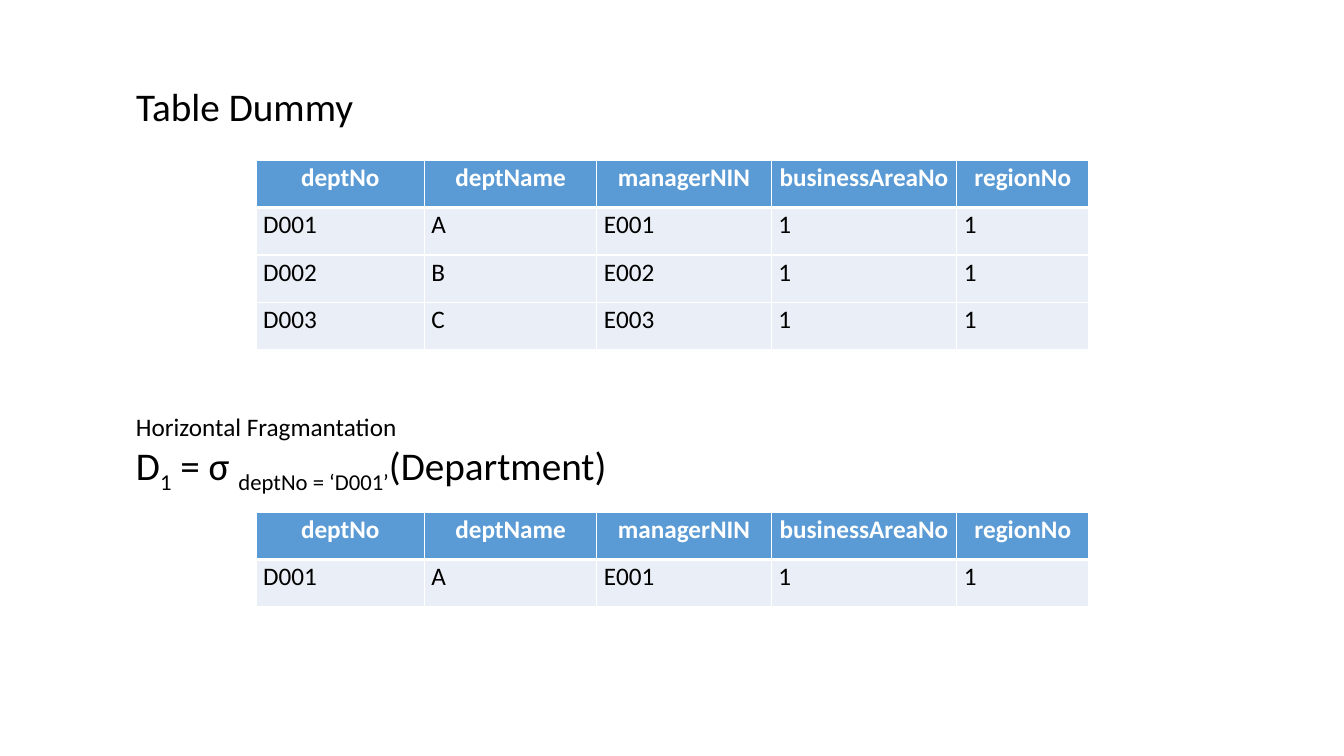
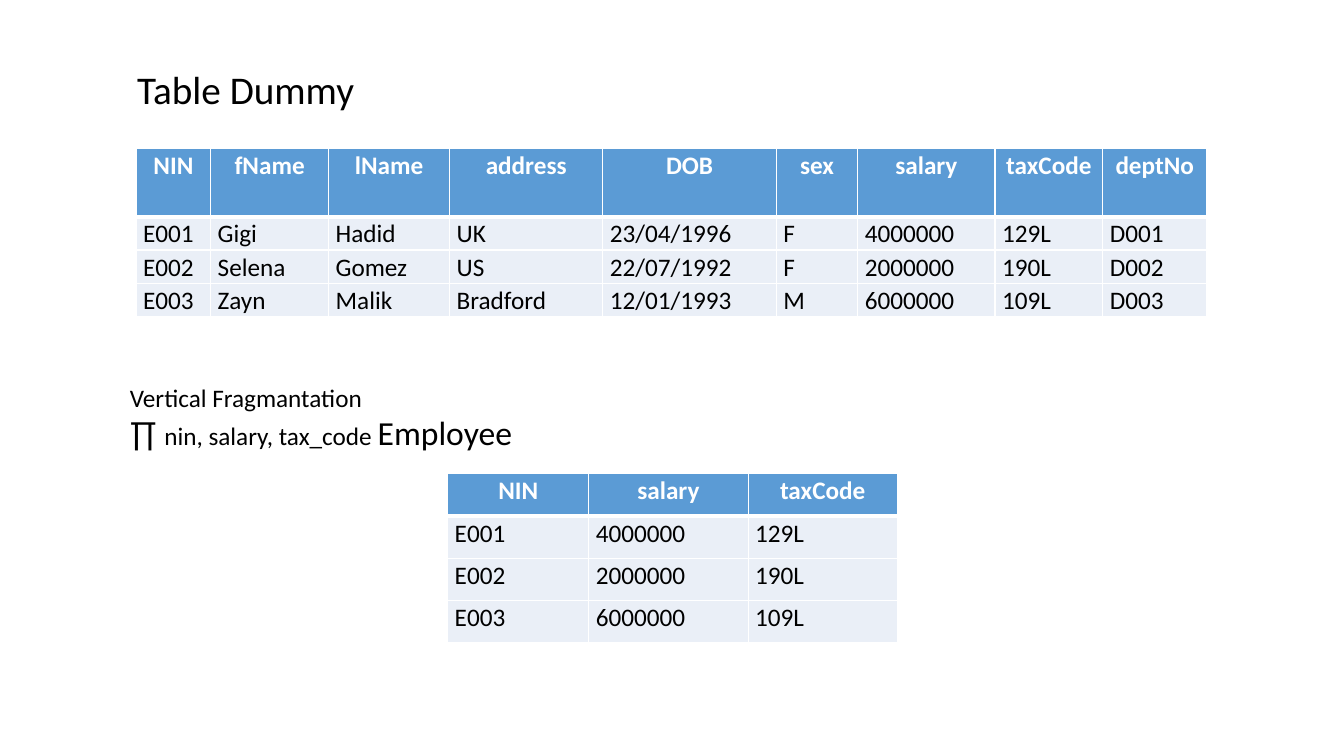
from dataclasses import dataclass

from lxml.etree import SubElement
from pptx import Presentation
from pptx.dml.color import RGBColor
from pptx.enum.text import MSO_ANCHOR, MSO_AUTO_SIZE, PP_ALIGN
from pptx.oxml.ns import qn
from pptx.util import Inches, Pt

FONT = "Calibri"
BLACK = RGBColor(0x00, 0x00, 0x00)
WHITE = RGBColor(0xFF, 0xFF, 0xFF)
HEADER_BLUE = RGBColor(0x5B, 0x9B, 0xD5)
ROW_BLUE = RGBColor(0xEA, 0xEF, 0xF7)
TITLE_ONLY = 5


@dataclass(frozen=True)
class Phrase:
    text: str
    size: int
    subscript: bool = False


@dataclass(frozen=True)
class Relation:
    left: float
    top: float
    widths: list[float]
    header_height: float
    row_height: float
    rows: list[list[str]]


@dataclass(frozen=True)
class Fragmentation:
    title_left: float
    title_top: float
    source: Relation
    note_left: float
    note_top: float
    note_width: float
    note: list[list[Phrase]]
    fragment: Relation


DEPARTMENTS = [
    ["deptNo", "deptName", "managerNIN", "businessAreaNo", "regionNo"],
    ["D001", "A", "E001", "1", "1"],
    ["D002", "B", "E002", "1", "1"],
    ["D003", "C", "E003", "1", "1"],
]
DEPARTMENT_WIDTHS = [1.67, 1.71, 1.73, 1.84, 1.31]

EMPLOYEES = [
    ["NIN", "fName", "lName", "address", "DOB", "sex", "salary", "taxCode", "deptNo"],
    ["E001", "Gigi", "Hadid", "UK", "23/04/1996", "F", "4000000", "129L", "D001"],
    ["E002", "Selena", "Gomez", "US", "22/07/1992", "F", "2000000", "190L", "D002"],
    ["E003", "Zayn", "Malik", "Bradford", "12/01/1993", "M", "6000000", "109L", "D003"],
]
EMPLOYEE_WIDTHS = [0.74, 1.17, 1.2, 1.52, 1.72, 0.81, 1.36, 1.07, 1.03]


def project(rows: list[list[str]], names: list[str]) -> list[list[str]]:
    """Keep only the named columns."""
    kept = [rows[0].index(name) for name in names]
    return [[row[column] for column in kept] for row in rows]


FRAGMENTATIONS = [
    Fragmentation(
        1.25, 0.77,
        Relation(2.54, 1.59, DEPARTMENT_WIDTHS, 0.47, 0.47, DEPARTMENTS),
        1.25, 4.03, 5.2,
        [
            [Phrase("Horizontal Fragmantation", 18)],
            [
                Phrase("D", 28),
                Phrase("1", 28, True),
                Phrase(" = σ ", 28),
                Phrase("deptNo = ‘D001’", 28, True),
                Phrase("(Department)", 28),
            ],
        ],
        Relation(2.54, 5.08, DEPARTMENT_WIDTHS, 0.47, 0.47, DEPARTMENTS[:2]),
    ),
    Fragmentation(
        1.26, 0.6,
        Relation(1.35, 1.47, EMPLOYEE_WIDTHS, 0.68, 0.33, EMPLOYEES),
        1.19, 3.74, 4.12,
        [
            [Phrase("Vertical Fragmantation", 18)],
            [Phrase("∏ ", 24), Phrase("nin, salary, tax_code ", 18), Phrase("Employee", 24)],
        ],
        Relation(4.44, 4.7, [1.4, 1.58, 1.48], 0.42, 0.42,
                 project(EMPLOYEES, ["NIN", "salary", "taxCode"])),
    ),
]


def add_phrase(paragraph, phrase: Phrase, color: RGBColor = BLACK, bold: bool = False) -> None:
    """Append one formatted run to a paragraph."""
    run = paragraph.add_run()
    run.text = phrase.text
    run.font.name = FONT
    run.font.size = Pt(phrase.size)
    run.font.bold = bold
    run.font.color.rgb = color
    if phrase.subscript:
        run._r.get_or_add_rPr().set("baseline", "-25000")


def fill_text(shape, lines: list[list[Phrase]]) -> None:
    """Write lines of phrases from the top left of a shape."""
    frame = shape.text_frame
    frame.word_wrap = True
    frame.auto_size = MSO_AUTO_SIZE.NONE
    frame.vertical_anchor = MSO_ANCHOR.TOP
    for index, line in enumerate(lines):
        paragraph = frame.add_paragraph() if index else frame.paragraphs[0]
        paragraph.alignment = PP_ALIGN.LEFT
        for phrase in line:
            add_phrase(paragraph, phrase)


def set_borders(cell, top: int, bottom: int) -> None:
    """Draw white rules round a cell, with the given top and bottom weights."""
    properties = cell._tc.get_or_add_tcPr()
    for side, weight in (("L", 1), ("R", 1), ("T", top), ("B", bottom)):
        rule = SubElement(properties, qn(f"a:ln{side}"), w=str(Pt(weight)))
        SubElement(SubElement(rule, qn("a:solidFill")), qn("a:srgbClr"), val=str(WHITE))


def fill_cell(cell, text: str, row: int) -> None:
    """Format one cell as a heading or a value."""
    heading = row == 0
    set_borders(cell, 3 if row == 1 else 1, 3 if heading else 1)
    cell.fill.solid()
    cell.fill.fore_color.rgb = HEADER_BLUE if heading else ROW_BLUE
    cell.margin_left = cell.margin_right = Inches(0.07)
    cell.margin_top = cell.margin_bottom = 0
    paragraph = cell.text_frame.paragraphs[0]
    paragraph.alignment = PP_ALIGN.CENTER if heading else PP_ALIGN.LEFT
    paragraph.line_spacing = 1.07
    add_phrase(paragraph, Phrase(text, 18), WHITE if heading else BLACK, heading)


def add_relation(slide, relation: Relation) -> None:
    """Draw a relation as a table."""
    heights = [relation.header_height] + [relation.row_height] * (len(relation.rows) - 1)
    table = slide.shapes.add_table(
        len(heights), len(relation.widths), Inches(relation.left), Inches(relation.top),
        Inches(sum(relation.widths)), Inches(sum(heights)),
    ).table
    table.horz_banding = False
    for column, width in zip(table.columns, relation.widths):
        column.width = Inches(width)
    for row, (height, values) in enumerate(zip(heights, relation.rows)):
        table.rows[row].height = Inches(height)
        for column, text in enumerate(values):
            fill_cell(table.cell(row, column), text, row)


def add_fragmentation(deck, content: Fragmentation) -> None:
    """Add a slide with a source table, a formula and the resulting fragment."""
    slide = deck.slides.add_slide(deck.slide_layouts[TITLE_ONLY])
    title = slide.shapes.title
    title.left, title.top = Inches(content.title_left), Inches(content.title_top)
    title.width, title.height = Inches(2.4), Inches(0.57)
    fill_text(title, [[Phrase("Table Dummy", 28)]])
    add_relation(slide, content.source)
    note = slide.shapes.add_textbox(
        Inches(content.note_left), Inches(content.note_top),
        Inches(content.note_width), Inches(0.88),
    )
    fill_text(note, content.note)
    add_relation(slide, content.fragment)


def main() -> None:
    """Build and save the deck."""
    deck = Presentation()
    deck.slide_width, deck.slide_height = Inches(13.33), Inches(7.5)
    for content in FRAGMENTATIONS:
        add_fragmentation(deck, content)
    deck.save("out.pptx")


if __name__ == "__main__":
    main()
